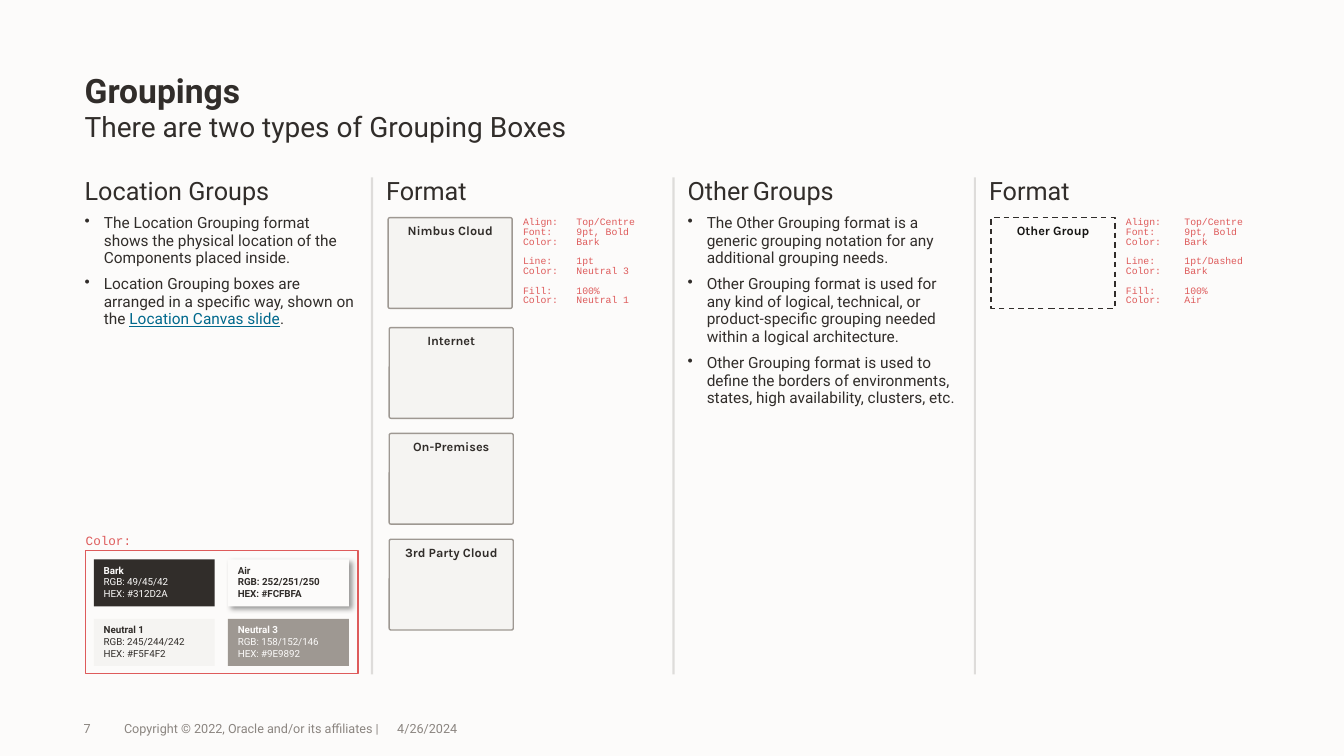
from collections import namedtuple

from lxml import etree
from pptx import Presentation
from pptx.dml.color import RGBColor
from pptx.enum.dml import MSO_LINE
from pptx.enum.shapes import MSO_CONNECTOR, MSO_SHAPE
from pptx.enum.text import MSO_ANCHOR, PP_ALIGN
from pptx.oxml.ns import qn
from pptx.util import Inches, Pt

RECTANGLE, ROUNDED = MSO_SHAPE.RECTANGLE, MSO_SHAPE.ROUNDED_RECTANGLE
STRAIGHT = MSO_CONNECTOR.STRAIGHT
DASH = MSO_LINE.DASH
TOP, MIDDLE, BOTTOM = MSO_ANCHOR.TOP, MSO_ANCHOR.MIDDLE, MSO_ANCHOR.BOTTOM
LEFT, CENTER = PP_ALIGN.LEFT, PP_ALIGN.CENTER

BARK = RGBColor(0x31, 0x2D, 0x2A)
AIR = RGBColor(0xFC, 0xFB, 0xFA)
NEUTRAL_1 = RGBColor(0xF5, 0xF4, 0xF2)
NEUTRAL_3 = RGBColor(0x9E, 0x98, 0x92)
GREY = RGBColor(0x8B, 0x85, 0x80)
INK = RGBColor(0x16, 0x15, 0x13)
RED = RGBColor(0xDE, 0x5B, 0x5B)
LINK_BLUE = RGBColor(0x00, 0x68, 0x8C)

WIDTH, HEIGHT = Inches(13.33), Inches(7.5)
COLUMN_PITCH = 22.43

TITLE = {"name": "Roboto", "size": Pt(24), "bold": True, "color": BARK}
SUBTITLE = {"name": "Roboto", "size": Pt(20), "color": BARK}
HEADING = {"name": "Roboto", "size": Pt(18), "color": BARK}
BODY = {"name": "Roboto", "size": Pt(11), "color": BARK}
LINKED = {**BODY, "color": LINK_BLUE, "underline": True}
FOOTER = {"name": "Roboto", "size": Pt(9), "color": GREY}
GROUP_NAME = {"name": "Karla", "size": Pt(9), "bold": True, "color": BARK}
CODE = {"name": "Courier New", "size": Pt(7), "color": RED}
CODE_LABEL = {**CODE, "size": Pt(9)}
SWATCH = {"name": "Roboto", "size": Pt(7)}


class Box(namedtuple("Box", "left top width height")):
    def area(self, left, top, width, height):
        return Box(self.left + left, self.top + top, width, height)

    def emu(self):
        return [int(share * side / 100) for share, side in zip(self, (WIDTH, HEIGHT) * 2)]


def set_format(target, values):
    for name, value in values.items():
        if name == "color":
            target.color.rgb = value
        else:
            setattr(target, name, value)


def add_element(parent, tag, **attributes):
    return etree.SubElement(parent, qn(tag), attributes)


def set_frame(shape, margins=(0, 0), anchor=TOP):
    side, top = (Inches(margin) for margin in margins)
    set_format(shape.text_frame, {
        "word_wrap": True, "vertical_anchor": anchor,
        "margin_left": side, "margin_right": side,
        "margin_top": top, "margin_bottom": top,
    })


def write(shape, paragraphs, **layout):
    frame = shape.text_frame
    for index, runs in enumerate(paragraphs):
        paragraph = frame.add_paragraph() if index else frame.paragraphs[0]
        set_format(paragraph, layout)
        for text, style in runs:
            run = paragraph.add_run()
            run.text = text
            set_format(run.font, style)


def add_text(slide, box, paragraphs, anchor=TOP, **layout):
    shape = slide.shapes.add_textbox(*box.emu())
    set_frame(shape, anchor=anchor)
    write(shape, paragraphs, **layout)
    return shape


def add_box(slide, box, kind=RECTANGLE, fill=None, line=None, dash=None):
    shape = slide.shapes.add_shape(kind, *box.emu())
    shape.shadow.inherit = False
    if fill is None:
        shape.fill.background()
    else:
        shape.fill.solid()
        shape.fill.fore_color.rgb = fill
    if line is None:
        shape.line.fill.background()
    else:
        set_format(shape.line, {"color": line, "width": Pt(1), "dash_style": dash})
    return shape


def add_divider(slide, column):
    left, top, _, height = column.area(21.38, 0, 0, column.height).emu()
    divider = slide.shapes.add_connector(STRAIGHT, left, top, left, top + height)
    set_format(divider.line, {"color": GREY, "width": Pt(1.5)})
    properties = divider.element.spPr
    add_element(properties.find(".//" + qn("a:srgbClr")), "a:alpha", val="25000")
    add_element(properties, "a:effectLst")


def add_column(slide, box, heading, bullets=()):
    shape = add_text(slide, box, [heading, *bullets], line_spacing=0.95)
    for paragraph in shape.text_frame.paragraphs[1:]:
        paragraph.space_before = Pt(6)
        properties = paragraph._p.get_or_add_pPr()
        indent = Inches(0.19)
        properties.set("marL", str(indent))
        properties.set("indent", str(-indent))
        add_element(properties, "a:buChar", char="•")


def add_group(slide, box, name, colour=BARK, **look):
    shape = add_box(slide, box, **look)
    if look.get("kind") == ROUNDED:
        shape.adjustments[0] = 0.02
    set_frame(shape, (0.05, 0.05))
    write(shape, [[(name, {**GROUP_NAME, "color": colour})]], alignment=CENTER)


def add_format_notes(slide, column, tab, sections):
    rows = [row for section in sections for row in section]
    starts = [section[0] for section in sections[1:]]
    shape = add_text(slide, column.area(9.45, 5.33, 11.85, 11.73),
                     [[(f"{label}:\t{value}", CODE)] for label, value in rows],
                     line_spacing=Pt(7))
    shape.text_frame.margin_left = Inches(0.1)
    for row, paragraph in zip(rows, shape.text_frame.paragraphs):
        if row in starts:
            paragraph.space_before = Pt(7)
        tabs = add_element(paragraph._p.get_or_add_pPr(), "a:tabLst")
        add_element(tabs, "a:tab", pos=str(Inches(tab)), algn="l")


def add_palette(slide, column):
    add_text(slide, column.area(0.08, 46.93, 11.78, 2), [[("Color:", CODE_LABEL)]],
             line_spacing=Pt(11))
    panel = column.area(0.08, 49.33, 20.25, 16.27)
    swatches = [
        ("Bark", "49/45/42", BARK, AIR),
        ("Air", "252/251/250", AIR, BARK),
        ("Neutral 1", "245/244/242", NEUTRAL_1, BARK),
        ("Neutral 3", "158/152/146", NEUTRAL_3, AIR),
    ]
    for index, (name, levels, fill, colour) in enumerate(swatches):
        row, place = divmod(index, 2)
        cell = panel.area(0.6 + 9.98 * place, 1.2 + 7.87 * row, 9, 6.2)
        shape = add_box(slide, cell, fill=fill)
        set_frame(shape, (0.1, 0.05))
        lines = [name, f"RGB: {levels}", f"HEX: #{fill}"]
        write(shape, [[(line, {**SWATCH, "color": colour, "bold": line == name or name == "Air"})]
                      for line in lines], alignment=LEFT)
        if name == "Air":
            effects = shape.element.spPr.find(qn("a:effectLst"))
            shadow = add_element(effects, "a:outerShdw", blurRad=str(Pt(4)), dist=str(Pt(3)),
                                 dir="2700000", algn="tl", rotWithShape="0")
            black = add_element(shadow, "a:srgbClr", val="000000")
            add_element(black, "a:alpha", val="40000")
    add_box(slide, panel, line=RED)


def add_header(slide, box):
    add_text(slide, box.area(0, 0, box.width, 12), [[("Groupings", TITLE)]],
             BOTTOM, line_spacing=0.95)
    add_text(slide, box.area(0, 12.13, box.width, 4.8),
             [[("There are two types of Grouping Boxes", SUBTITLE)]], line_spacing=0.95)


def add_footer(slide, box):
    items = [(0, 3, "7"), (3, 20.33, "Copyright © 2022, Oracle and/or its affiliates |"),
             (23.33, 22.5, "4/26/2024")]
    for left, width, text in items:
        add_text(slide, box.area(left, 0, width, box.height), [[(text, FOOTER)]], MIDDLE)


def add_location_groups(slide, text_column, format_column):
    add_column(slide, text_column, [("Location Groups", HEADING)], [
        [("The Location Grouping format shows the physical location of the "
          "Components placed inside.", BODY)],
        [("Location Grouping boxes are arranged in a specific way, shown on the ", BODY),
         ("Location Canvas slide", LINKED), (".", BODY)],
    ])
    add_palette(slide, text_column)
    add_column(slide, format_column, [("Format", HEADING)])
    look = {"kind": ROUNDED, "fill": NEUTRAL_1, "line": NEUTRAL_3}
    add_group(slide, format_column.area(0.15, 5.33, 9.23, 12), "Nimbus Cloud", **look)
    for row, name in enumerate(["Internet", "On-Premises", "3rd Party Cloud"]):
        add_group(slide, format_column.area(0.23, 19.87 + 14 * row, 9.23, 12), name, **look)
    add_format_notes(slide, format_column, 0.53, [
        [("Align", "Top/Centre"), ("Font", "9pt, Bold"), ("Color", "Bark")],
        [("Line", "1pt"), ("Color", "Neutral 3")],
        [("Fill", "100%"), ("Color", "Neutral 1")],
    ])


def add_other_groups(slide, text_column, format_column):
    add_column(slide, text_column, [("Other", HEADING), (" ", BODY), ("Groups", HEADING)], [
        [("The Other Grouping format is a generic grouping notation for any "
          "additional grouping needs.", BODY)],
        [("Other Grouping format is used for any kind of logical, technical, or "
          "product-specific grouping needed within a logical architecture.", BODY)],
        [("Other Grouping format is used to define the borders of environments, "
          "states, high availability, clusters, etc.", BODY)],
    ])
    add_column(slide, format_column, [("Format", HEADING)])
    add_group(slide, format_column.area(0.15, 5.33, 9.23, 12), "Other Group", INK,
              line=BARK, dash=DASH)
    add_format_notes(slide, format_column, 0.58, [
        [("Align", "Top/Centre"), ("Font", "9pt, Bold"), ("Color", "Bark")],
        [("Line", "1pt/Dashed"), ("Color", "Bark")],
        [("Fill", "100%"), ("Color", "Air")],
    ])


def main():
    presentation = Presentation()
    set_format(presentation, {"slide_width": WIDTH, "slide_height": HEIGHT})
    slide = presentation.slides.add_slide(presentation.slide_layouts[6])
    slide.background.fill.solid()
    slide.background.fill.fore_color.rgb = AIR
    columns = [Box(6.3 + COLUMN_PITCH * index, 23.47, 20.33, 65.73) for index in range(4)]
    for column in columns[:3]:
        add_divider(slide, column)
    add_header(slide, Box(6.3, 2.67, 87.55, 16.93))
    add_location_groups(slide, *columns[:2])
    add_other_groups(slide, *columns[2:])
    add_footer(slide, Box(6.23, 93.73, 45.83, 5.33))
    presentation.save("out.pptx")


if __name__ == "__main__":
    main()
